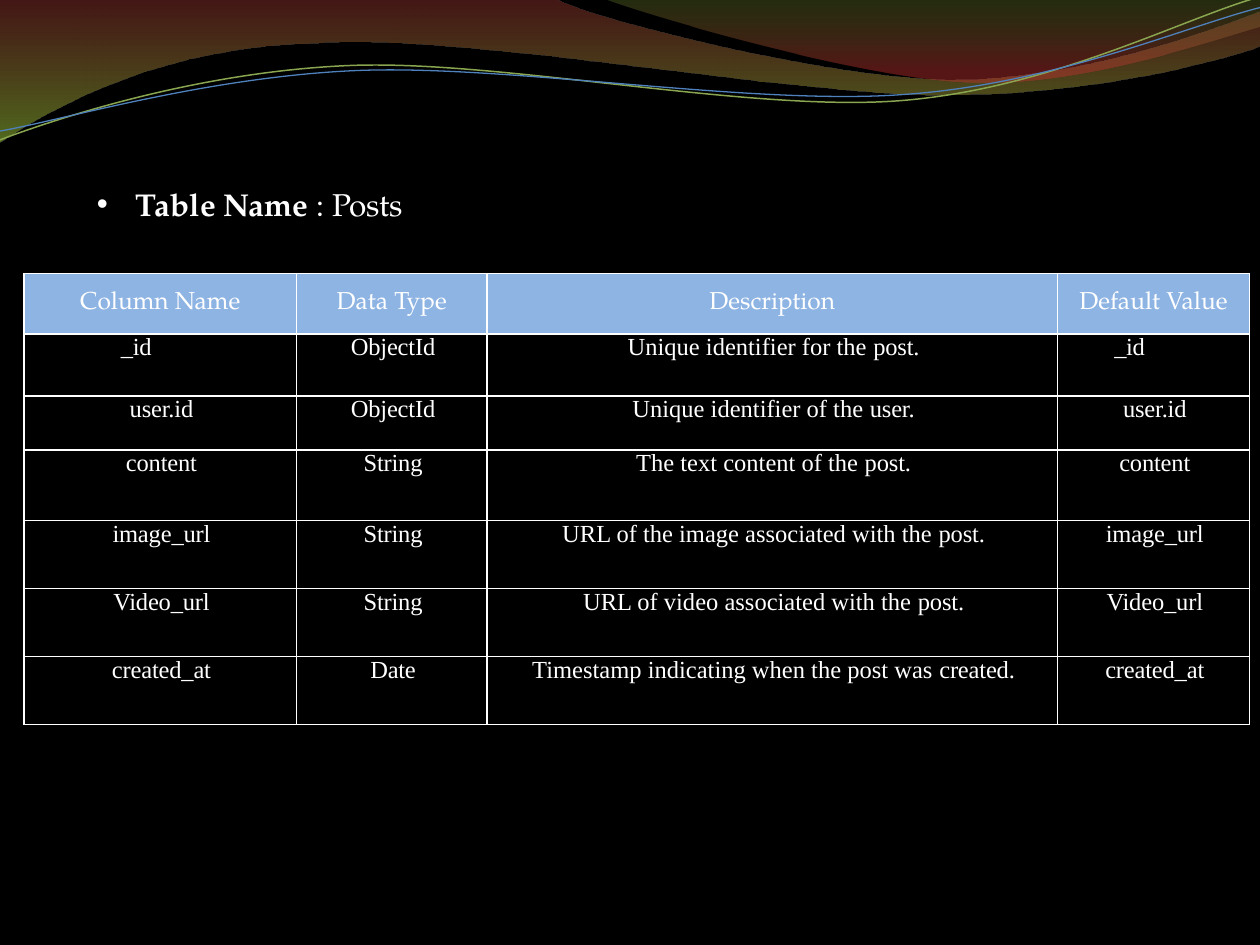
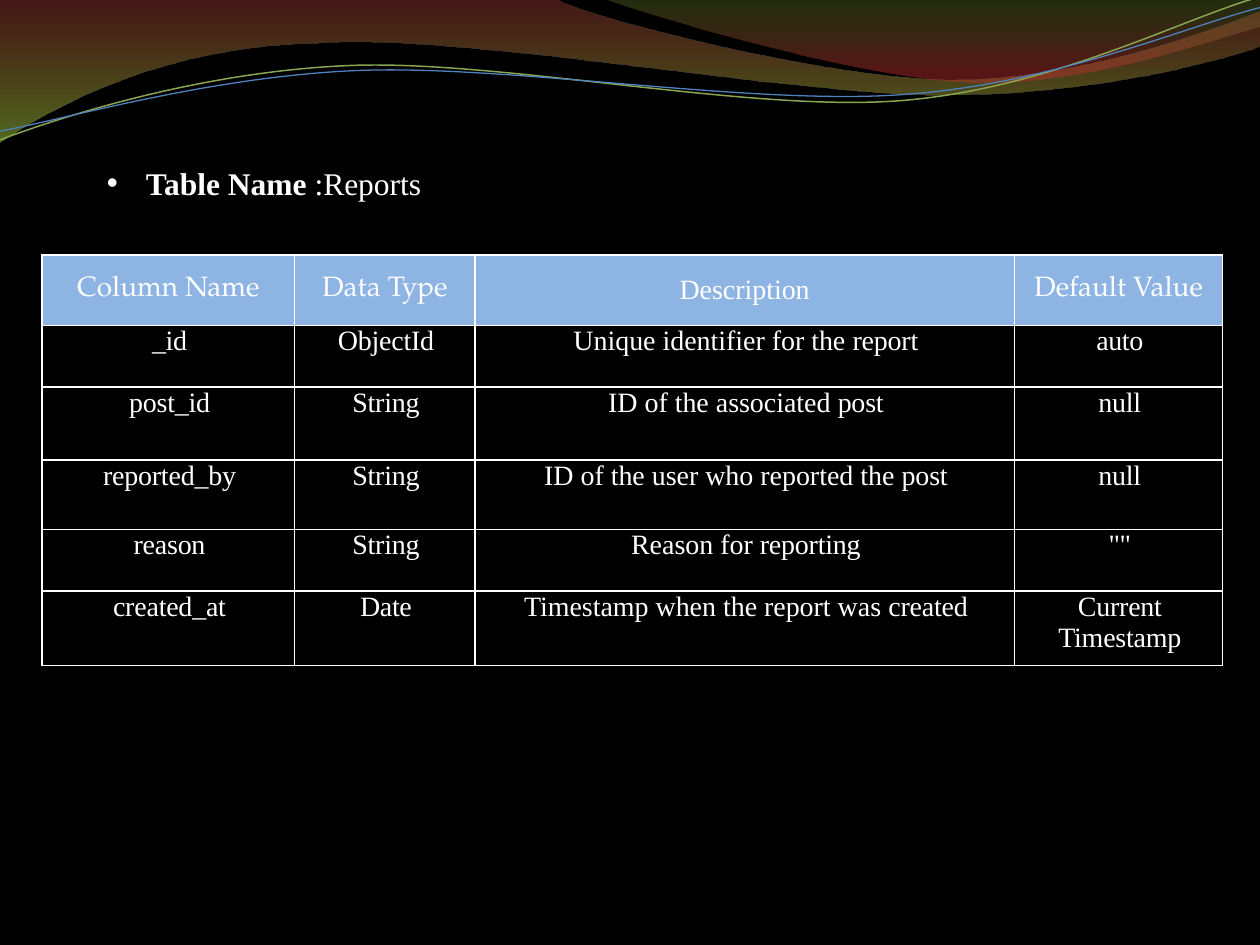
from math import cos, radians, sin

from lxml.etree import SubElement
from pptx import Presentation
from pptx.dml.color import RGBColor
from pptx.enum.text import MSO_ANCHOR, MSO_AUTO_SIZE, PP_ALIGN
from pptx.oxml.ns import qn
from pptx.util import Emu, Inches, Pt

SERIF = "Times New Roman"
PAGELLA = "TeX Gyre Pagella"
BLACK, WHITE, HEADER_BLUE = "000000", "FFFFFF", "8EB4E3"
GRID_COLS = 100
TILT = -2.7
DESCRIPTION = 2
TIGHTER = ("_id", "Date", "auto", '""')

WAVES = [
    dict(
        start=(-0.1, 0),
        parts=[[(44, -0.1)],
               [(47.6, 1.7), (66.4, 6.3), (75.8, 6.3)],
               [(85.3, 6.3), (95.8, 2.6), (100, 0.9)],
               [(100.1, 3.6)],
               [(98.3, 4.4), (87, 7.6), (74.6, 7.5)],
               [(62.2, 7.5), (38.2, 2.8), (25.7, 3.4)],
               [(12.9, 3.6), (4.6, 8.3), (-0.1, 11.3)],
               [(-0.1, 0)]],
        stops=[(0, "973330", 45), (1, "95C238", 55)]),
    dict(
        start=(47.9, -0.1),
        parts=[[(50.9, 1.1), (68.2, 6.2), (76.9, 6.5)],
               [(85.6, 6.9), (96.1, 3.2), (100, 2.1)],
               [(100, 0)],
               [(47.9, -0.1)]],
        stops=[(0, "769537", 30), (0.8, "BE3330", 45)]),
    dict(
        start=(0, 11.1),
        parts=[[(4.8, 9.3), (15.8, 5.7), (27.7, 5.2)],
               [(39.5, 4.7), (59.3, 8.9), (71.3, 8)],
               [(83.3, 7.1), (93.8, 1.5), (99.8, -0.2)]],
        pivot=(49.9, 5.75), line=("89A54F", 0.85)),
    dict(
        start=(0, 10.4),
        parts=[[(4.7, 9.6), (16.4, 6.1), (28.3, 5.6)],
               [(40.3, 5.1), (59.7, 8.4), (71.7, 7.5)],
               [(83.6, 6.7), (94.1, 2.1), (100, 0.6)]],
        pivot=(49.95, 5.9), line=("4F81BD", 0.75)),
]

HEADERS = ["Column Name", "Data Type", "Description", "Default Value"]

TABLES = [
    dict(
        title=dict(at=(6.7, 14.2, 26.6, 4), name=": Posts", font=PAGELLA),
        at=(1.9, 21.72), size=14,
        cols=[21.64, 15.12, 45.28, 15.24],
        heights=[4.8, 4.9, 4.3, 5.6, 5.4, 5.4, 5.4],
        header_fonts=[PAGELLA] * 4,
        shifted=[(1, 0), (1, 3)],
        rows=[
            ["_id", "ObjectId", "Unique identifier for the post.", "_id"],
            ["user.id", "ObjectId", "Unique identifier of the user.", "user.id"],
            ["content", "String", "The text content of the post.", "content"],
            ["image_url", "String",
             "URL of the image associated with the post.", "image_url"],
            ["Video_url", "String",
             "URL of video associated with the post.", "Video_url"],
            ["created_at", "Date",
             "Timestamp indicating when the post was created.", "created_at"],
        ]),
    dict(
        title=dict(at=(7.5, 12.5, 27.2, 4), name=":Reports", font=SERIF),
        at=(3.33, 20.22), size=16,
        cols=[20.06, 14.3, 42.83, 16.53],
        heights=[5.6, 4.9, 5.8, 5.5, 4.9, 5.9],
        header_fonts=[PAGELLA, PAGELLA, SERIF, PAGELLA],
        shifted=[],
        rows=[
            ["_id", "ObjectId", "Unique identifier for the report", "auto"],
            ["post_id", "String", "ID of the associated post", "null"],
            ["reported_by", "String",
             "ID of the user who reported the post", "null"],
            ["reason", "String", "Reason for reporting", '""'],
            ["created_at", "Date",
             "Timestamp when the report was created", "Current Timestamp"],
        ]),
]


def rgb(value):
    return RGBColor.from_string(value)


def apply(target, values):
    for name, value in values.items():
        setattr(target, name, value)


def rotate(point, pivot, degrees):
    dx, dy = point[0] - pivot[0], point[1] - pivot[1]
    c, s = cos(radians(degrees)), sin(radians(degrees))
    return pivot[0] + dx * c - dy * s, pivot[1] + dx * s + dy * c


class Deck:
    def __init__(self):
        self.prs = Presentation()
        apply(self.prs, dict(slide_width=Inches(10), slide_height=Inches(7.5)))
        self.unit = self.prs.slide_width / GRID_COLS
        fill = self.prs.slide_master.background.fill
        fill.solid()
        fill.fore_color.rgb = rgb(BLACK)

    def grid(self, *values):
        return [Emu(round(v * self.unit)) for v in values]

    def new_slide(self):
        self.s = self.prs.slides.add_slide(self.prs.slide_layouts[6])

    def master_waves(self):
        tree = self.prs.slide_master.shapes._spTree
        for wave in WAVES:
            tree.append(self.wave(**wave)._element)

    def wave(self, start, parts, stops=None, pivot=None, line=None):
        points = [start] + [point for part in parts for point in part]
        if pivot:
            points = [rotate(point, pivot, -TILT) for point in points]
        points = [self.grid(*point) for point in points]
        builder = self.s.shapes.build_freeform(*points[0], scale=1.0)
        builder.add_line_segments(points[1:], close=stops is not None)
        sp = builder.convert_to_shape()
        self.curve(sp, parts)
        sp.shadow.inherit = False
        if line:
            color, width = line
            sp.rotation = TILT
            sp.fill.background()
            sp.line.color.rgb = rgb(color)
            sp.line.width = Pt(width)
        else:
            sp.line.fill.background()
            self.gradient(sp, stops)
        return sp

    def curve(self, sp, parts):
        segments = iter(list(sp._element.iter(qn("a:lnTo"))))
        for part in parts:
            first, *others = [next(segments) for _ in part]
            if others:
                first.tag = qn("a:cubicBezTo")
                for other in others:
                    first.append(other[0])
                    other.getparent().remove(other)

    def gradient(self, sp, stops):
        sp.fill.gradient()
        sp.fill.gradient_angle = 270
        for stop, (position, color, _) in zip(sp.fill.gradient_stops, stops):
            stop.position = position
            stop.color.rgb = rgb(color)
        colors = list(sp._element.spPr.iter(qn("a:srgbClr")))
        for node, (_, _, alpha) in zip(colors, stops):
            SubElement(node, qn("a:alpha"), val=str(alpha * 1000))

    def run(self, p, text, spacing=0, **font):
        r = p.add_run()
        r.text = text
        apply(r.font, font)
        r.font.color.rgb = rgb(WHITE)
        if spacing:
            r._r.get_or_add_rPr().set("spc", str(spacing))

    def title(self, at, name, font):
        tf = self.s.shapes.add_textbox(*self.grid(*at)).text_frame
        apply(tf, dict(word_wrap=False, auto_size=MSO_AUTO_SIZE.SHAPE_TO_FIT_TEXT))
        p = tf.paragraphs[0]
        pPr = p._p.get_or_add_pPr()
        indent = self.grid(3.1)[0]
        pPr.set("marL", str(indent))
        pPr.set("indent", str(-indent))
        SubElement(pPr, qn("a:buFont"), typeface="Arial")
        SubElement(pPr, qn("a:buChar"), char="•")
        for text, bold in [("Table Name ", True), (name, False)]:
            self.run(p, text, name=font, size=Pt(18), bold=bold)

    def borders(self, cell):
        tcPr = cell._tc.get_or_add_tcPr()
        for side in "LRTB":
            ln = SubElement(tcPr, qn(f"a:ln{side}"), w=str(Pt(1)))
            SubElement(SubElement(ln, qn("a:solidFill")), qn("a:srgbClr"), val=WHITE)

    def cell(self, cell, runs, font, size, fill, layout):
        self.borders(cell)
        cell.fill.solid()
        cell.fill.fore_color.rgb = rgb(fill)
        apply(cell, layout)
        p = cell.text_frame.paragraphs[0]
        p.alignment = PP_ALIGN.CENTER
        for text, spacing in runs:
            self.run(p, text, spacing, name=font, size=Pt(size))

    def table(self, at, size, cols, heights, header_fonts, shifted, rows):
        box = self.grid(*at, sum(cols), sum(heights))
        tbl = self.s.shapes.add_table(len(heights), len(cols), *box).table
        apply(tbl, dict(first_row=False, horz_banding=False))
        for col, width in zip(tbl.columns, self.grid(*cols)):
            col.width = width
        for row, height in zip(tbl.rows, self.grid(*heights)):
            row.height = height
        left, shift = self.grid(0.2, 4)
        for j, (text, font) in enumerate(zip(HEADERS, header_fonts)):
            self.cell(tbl.cell(0, j), [(text, 0)], font, size, HEADER_BLUE,
                      dict(vertical_anchor=MSO_ANCHOR.MIDDLE))
        for i, texts in enumerate(rows, 1):
            for j, text in enumerate(texts):
                runs = [(text, -20 if text in TIGHTER else -10)]
                if j == DESCRIPTION:
                    start, space, last = text.rpartition(" ")
                    runs = [(start + space, 0), (last, -10)]
                self.cell(tbl.cell(i, j), runs, SERIF, size, BLACK,
                          dict(margin_left=left, margin_top=0, margin_bottom=0,
                               margin_right=shift if (i, j) in shifted else 0))


def main():
    deck = Deck()
    for number, content in enumerate(TABLES):
        deck.new_slide()
        if number == 0:
            deck.master_waves()
        deck.title(**content["title"])
        deck.table(**{k: v for k, v in content.items() if k != "title"})
    deck.prs.save("out.pptx")


if __name__ == "__main__":
    main()
